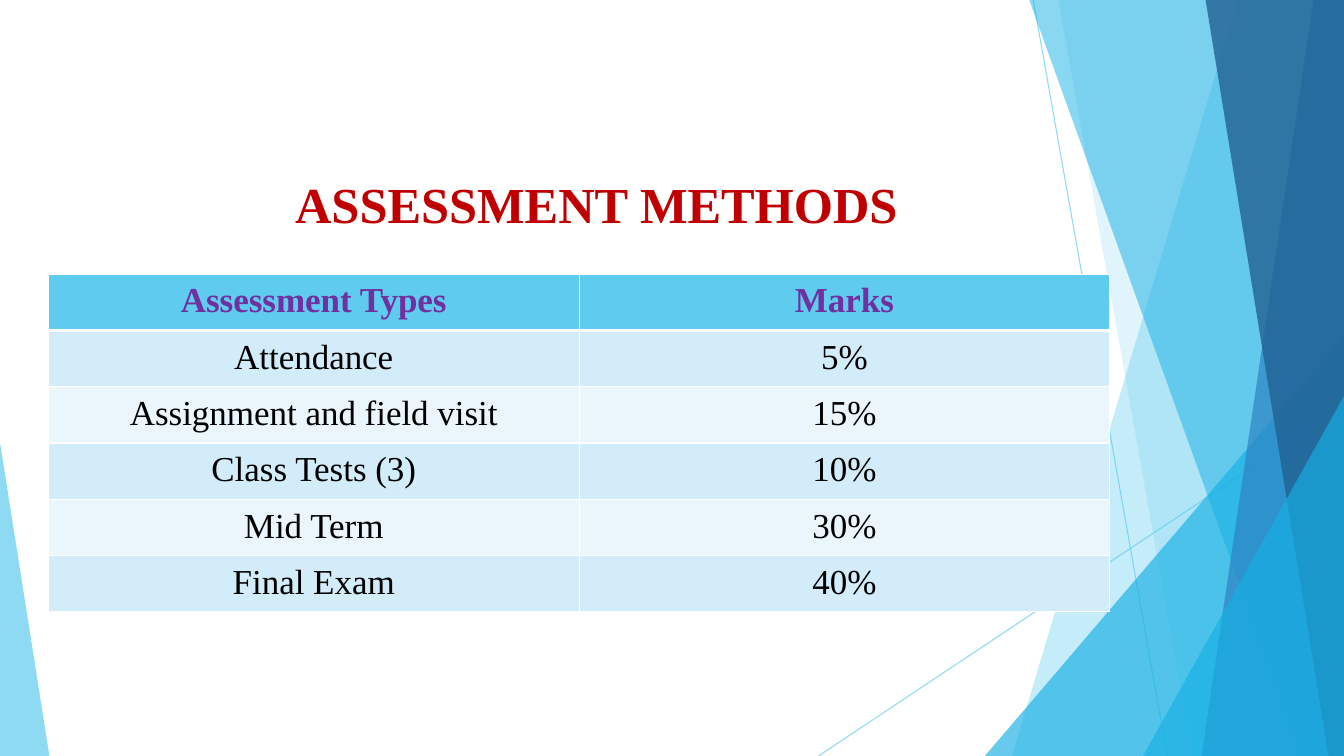
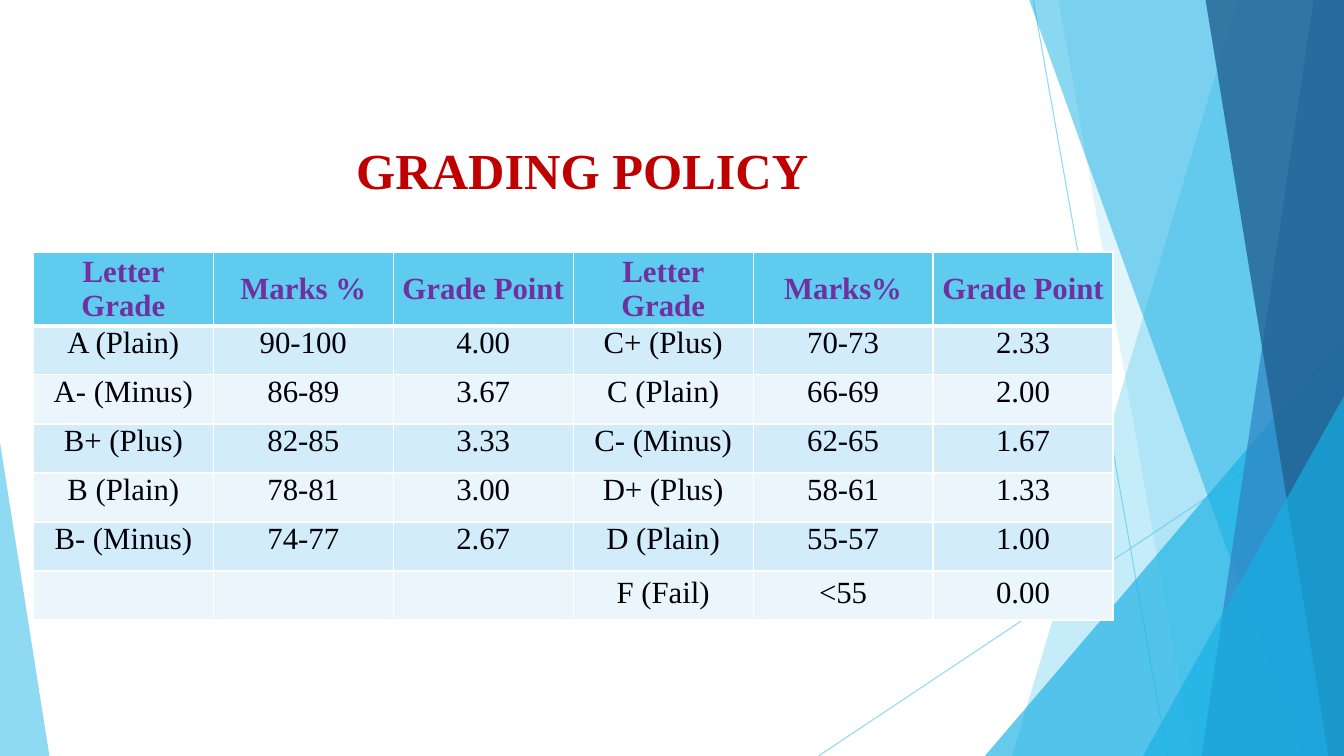
"""Build two course slides, assessment methods and grading policy, on a faceted backdrop."""
import dataclasses

import pptx
import pptx.dml.color
import pptx.enum.shapes
import pptx.enum.text
import pptx.oxml
import pptx.oxml.ns
import pptx.util


@dataclasses.dataclass(frozen=True)
class Theme:
    font: str = "Times New Roman"
    sky: str = "5FCBEF"
    cyan: str = "17B0E4"
    blue: str = "2E83C3"
    navy: str = "226292"
    title: str = "C00000"
    heading: str = "7030A0"
    body: str = "000000"
    ink: str = "00000A"
    bands: tuple = ("EAF6FC", "D2ECF9")
    border: str = "FFFFFF"
    title_size: int = 36
    hairline: float = 0.75
    thin: int = 1
    thick: int = 3


THEME = Theme()
ANCHOR = pptx.enum.text.MSO_ANCHOR
RGB = pptx.dml.color.RGBColor.from_string
QN = pptx.oxml.ns.qn

deck = pptx.Presentation()
deck.slide_width = pptx.util.Inches(13.33)
deck.slide_height = pptx.util.Inches(7.5)
across = deck.slide_width / 100
down = deck.slide_height / 100


def write(frame, text, size, colour, bold, spacing=None):
    """Put one centred line of text into a frame."""
    para = frame.paragraphs[0]
    para.alignment = pptx.enum.text.PP_ALIGN.CENTER
    para.line_spacing = spacing
    span = para.add_run()
    span.text = text
    look = {"name": THEME.font, "size": pptx.util.Pt(size), "bold": bold}
    for name, value in look.items():
        setattr(span.font, name, value)
    span.font.color.rgb = RGB(colour)


def tint(part, paint, colour, opacity):
    """Give a shape's fill or a connector's line a see-through colour."""
    paint.solid()
    paint.fore_color.rgb = RGB(colour)
    solid = part._element.spPr.find(".//" + QN("a:srgbClr"))
    pptx.oxml.ns
    alpha = solid.makeelement(QN("a:alpha"), {"val": str(opacity * 1000)})
    solid.append(alpha)


# Positions are percentages of the slide's width and height.
rays = [(76.88, 0, 86.85, 100), (100, 53.73, 60.9, 100)]
facets = [
    ("panel", (92.1, 75.3), THEME.sky, 36),
    ("panel", (78.75, 88.73), THEME.sky, 20),
    ("triangle", (73.28, 44.4, 100, 1), THEME.cyan, 66),
    ("panel", (76.58, 96.83), THEME.cyan, 50),
    ("panel", (97.73, 89.4), THEME.blue, 70),
    ("panel", (89.7, 98.85), THEME.navy, 80),
    ("triangle", (85.05, 52.4, 100, 1), THEME.cyan, 66),
    ("triangle", (0, 58.53, 3.68, 0), THEME.sky, 70),
]

slides = [
    {
        "title": "ASSESSMENT METHODS ",
        "title_at": (3.6, 21.6, 82.5, 11.33),
        "table_at": (3.6, 36.27, 78.98, 44.67),
        "size": 25,
        "spacing": 1.2,
        "last_spacing": 1.2,
        "heading_anchor": ANCHOR.TOP,
        "ink": THEME.body,
        "rows": [
            ("Assessment Types", "Marks"),
            ("Attendance", "5%"),
            ("Assignment and field visit", "15%"),
            ("Class Tests (3)", "10%"),
            ("Mid Term", "30%"),
            ("Final Exam", "40%"),
        ],
    },
    {
        "title": "GRADING POLICY ",
        "title_at": (2.48, 17.07, 82.5, 12.67),
        "table_at": (2.48, 33.33, 80.33, 45.4),
        "size": 22,
        "spacing": None,
        "last_spacing": 1.15,
        "heading_anchor": ANCHOR.MIDDLE,
        "ink": THEME.ink,
        "rows": [
            ("Letter Grade", "Marks %", "Grade Point", "Letter Grade", "Marks%", "Grade Point"),
            ("A (Plain)", "90-100", "4.00", "C+ (Plus)", "70-73", "2.33"),
            ("A- (Minus)", "86-89", "3.67", "C (Plain)", "66-69", "2.00"),
            ("B+ (Plus)", "82-85", "3.33", "C- (Minus)", "62-65", "1.67"),
            ("B (Plain)", "78-81", "3.00", "D+ (Plus)", "58-61", "1.33"),
            ("B- (Minus)", "74-77", "2.67", "D (Plain)", "55-57", "1.00"),
            ("", "", "", "F (Fail)", "<55", "0.00"),
        ],
    },
]

for content in slides:
    page = deck.slides.add_slide(deck.slide_layouts[6])

    for x1, y1, x2, y2 in rays:
        ray = page.shapes.add_connector(
            pptx.enum.shapes.MSO_CONNECTOR.STRAIGHT,
            int(x1 * across), int(y1 * down), int(x2 * across), int(y2 * down))
        ray.line.width = pptx.util.Pt(THEME.hairline)
        tint(ray, ray.line.fill, THEME.sky, 70)
        properties = ray._element.spPr
        properties.append(properties.makeelement(QN("a:effectLst"), {}))

    for kind, place, colour, opacity in facets:
        if kind == "panel":
            top, bottom = (int(edge * across) for edge in place)
            outline = page.shapes.build_freeform(top, 0)
            outline.add_line_segments([
                (deck.slide_width, 0),
                (deck.slide_width, deck.slide_height),
                (bottom, deck.slide_height)])
            facet = outline.convert_to_shape()
        else:
            left, top, right, apex = place
            facet = page.shapes.add_shape(
                pptx.enum.shapes.MSO_SHAPE.ISOSCELES_TRIANGLE,
                int(left * across), int(top * down),
                int((right - left) * across), int((100 - top) * down))
            facet.adjustments[0] = apex
        facet.shadow.inherit = False
        facet.line.fill.background()
        tint(facet, facet.fill, colour, opacity)

    left, top, width, height = content["title_at"]
    box = page.shapes.add_textbox(
        int(left * across), int(top * down), int(width * across), int(height * down))
    layout = {"word_wrap": True, "vertical_anchor": ANCHOR.TOP,
              "margin_top": pptx.util.Inches(0.1)}
    for name, value in layout.items():
        setattr(box.text_frame, name, value)
    write(box.text_frame, content["title"], THEME.title_size, THEME.title, True)

    rows = content["rows"]
    left, top, width, height = content["table_at"]
    table = page.shapes.add_table(
        len(rows), len(rows[0]), int(left * across), int(top * down),
        int(width * across), int(height * down)).table

    for row, texts in enumerate(rows):
        heading = row == 0
        last = row == len(rows) - 1
        edges = {"L": THEME.thin, "R": THEME.thin,
                 "T": THEME.thick if row == 1 else THEME.thin,
                 "B": THEME.thick if heading else THEME.thin}
        for column, text in enumerate(texts):
            cell = table.cell(row, column)
            layout = {
                "margin_left": pptx.util.Inches(0.07),
                "margin_right": pptx.util.Inches(0.07),
                "margin_top": 0,
                "margin_bottom": 0,
                "vertical_anchor": content["heading_anchor"] if heading else ANCHOR.TOP,
            }
            for name, value in layout.items():
                setattr(cell, name, value)
            for side, weight in edges.items():
                cell._tc.get_or_add_tcPr().append(pptx.oxml.parse_xml(
                    f'<a:ln{side} {pptx.oxml.ns.nsdecls("a")} w="{pptx.util.Pt(weight)}">'
                    f'<a:solidFill><a:srgbClr val="{THEME.border}"/></a:solidFill>'
                    f'</a:ln{side}>'))
            cell.fill.solid()
            cell.fill.fore_color.rgb = RGB(THEME.sky if heading else THEME.bands[row % 2])
            if text:
                colour = THEME.heading if heading else THEME.body if last else content["ink"]
                spacing = content["last_spacing" if last else "spacing"]
                write(cell.text_frame, text, content["size"], colour, heading, spacing)

deck.save("out.pptx")
